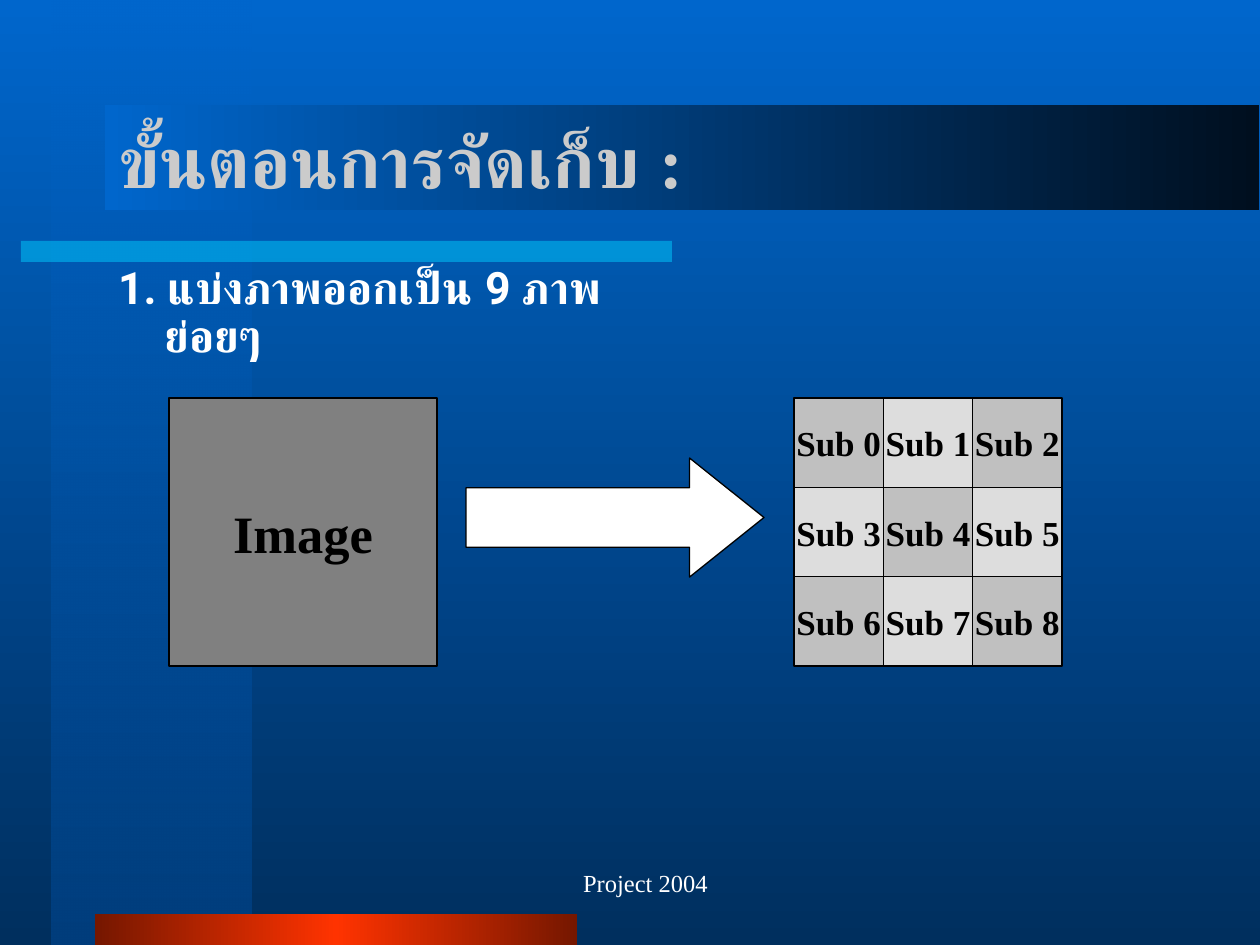
from lxml import etree
from pptx import Presentation
from pptx.dml.color import RGBColor
from pptx.enum.shapes import MSO_SHAPE
from pptx.enum.text import MSO_ANCHOR, MSO_AUTO_SIZE, PP_ALIGN
from pptx.oxml.ns import qn
from pptx.util import Pt

PX = 914400 / 126
RECT, ARROW = MSO_SHAPE.RECTANGLE, MSO_SHAPE.RIGHT_ARROW
TOP, MIDDLE = MSO_ANCHOR.TOP, MSO_ANCHOR.MIDDLE
LEFT, CENTER = PP_ALIGN.LEFT, PP_ALIGN.CENTER
SERIF, SANS = "Times New Roman", "Roboto"

BLACK = RGBColor(0x00, 0x00, 0x00)
WHITE = RGBColor(0xFF, 0xFF, 0xFF)
TITLE_GRAY = RGBColor(0xCB, 0xCB, 0xCB)
IMAGE_GRAY = RGBColor(0x80, 0x80, 0x80)
CELL_DARK = RGBColor(0xC0, 0xC0, 0xC0)
CELL_LIGHT = RGBColor(0xDD, 0xDD, 0xDD)
BLUE = RGBColor(0x00, 0x66, 0xCC)
MID_BLUE = RGBColor(0x00, 0x3E, 0x7D)
DEEP_BLUE = RGBColor(0x00, 0x2F, 0x5E)
NIGHT = RGBColor(0x00, 0x0F, 0x1F)
CYAN = RGBColor(0x00, 0xCC, 0xFF)
RED = RGBColor(0xFF, 0x33, 0x00)
DARK_RED = RGBColor(0x75, 0x17, 0x00)


def px(n):
    return round(n * PX)


def set_alpha(color, percent):
    etree.SubElement(color, qn("a:alpha")).set("val", str(percent * 1000))


def set_gradient(fill, owner, angle, stops):
    """Stops are (position, colour, opacity), all but the colour in percent."""
    fill.gradient()
    fill.gradient_angle = angle
    stop_list = next(owner.iter(qn("a:gsLst")))
    for old in list(stop_list):
        stop_list.remove(old)
    for position, rgb, opacity in stops:
        gs = etree.SubElement(stop_list, qn("a:gs"), pos=str(position * 1000))
        color = etree.SubElement(gs, qn("a:srgbClr"), val=str(rgb))
        if opacity < 100:
            set_alpha(color, opacity)


def add_shape(s, kind, box, color=None, outlined=False):
    sp = s.shapes.add_shape(kind, *map(px, box))
    sp.shadow.inherit = False
    if color is not None:
        sp.fill.solid()
        sp.fill.fore_color.rgb = color
    if outlined:
        sp.line.color.rgb = BLACK
        sp.line.width = Pt(0.75)
    else:
        sp.line.fill.background()
    return sp


def set_text(sp, text, size, color, font=SERIF, bold=True, align=CENTER,
             anchor=MIDDLE, margins=(13, 6, 13, 6), wrap=True):
    tf = sp.text_frame
    tf.word_wrap = wrap
    tf.auto_size = MSO_AUTO_SIZE.NONE
    tf.vertical_anchor = anchor
    tf.margin_left, tf.margin_top, tf.margin_right, tf.margin_bottom = map(px, margins)
    p = tf.paragraphs[0]
    p.text = text
    p.alignment = align
    p.font.name, p.font.size, p.font.bold = font, Pt(size), bold
    p.font.color.rgb = color
    return p


def add_backdrop(s):
    set_gradient(s.background.fill, s.element, 270,
                 [(0, BLUE, 100), (100, DEEP_BLUE, 100)])
    column = add_shape(s, RECT, (52, 0, 200, 945))
    set_gradient(column.fill, column.element, 270,
                 [(0, BLUE, 50), (100, MID_BLUE, 100)])
    rule = add_shape(s, RECT, (21, 241, 651, 21), CYAN)
    set_alpha(next(rule.element.spPr.iter(qn("a:srgbClr"))), 50)
    footer_bar = add_shape(s, RECT, (95, 914, 482, 31))
    set_gradient(footer_bar.fill, footer_bar.element, 180,
                 [(0, DARK_RED, 100), (50, RED, 100), (100, DARK_RED, 100)])
    title_band = add_shape(s, RECT, (105, 105, 1154, 105))
    set_gradient(title_band.fill, title_band.element, 180,
                 [(0, NIGHT, 100), (100, BLUE, 100)])


def add_title(s, box, text):
    title = s.shapes.title
    title.left, title.top, title.width, title.height = map(px, box)
    set_text(title, text, 41, TITLE_GRAY, align=LEFT)
    s.shapes._spTree.append(title.element)  # in front of the title band


def add_step(s, box, text):
    sp = s.shapes.add_textbox(*map(px, box))
    p = set_text(sp, text, 25.5, WHITE, font=SANS, align=LEFT, anchor=TOP)
    p.line_spacing = 0.9
    pPr = p._p.get_or_add_pPr()
    pPr.set("marL", str(px(47)))
    pPr.set("indent", str(-px(47)))


def add_sub_images(s, left, top, side, count=3):
    cell = side / count
    for i in range(count * count):
        row, col = divmod(i, count)
        sp = add_shape(s, RECT, (left + col * cell, top + row * cell, cell, cell),
                       CELL_LIGHT if i % 2 else CELL_DARK, outlined=True)
        set_text(sp, f"Sub {i}", 20, BLACK, margins=(0, 0, 0, 0), wrap=False)


def add_split_diagram(s, left, top, side):
    add_sub_images(s, left + 625, top, side)
    image = add_shape(s, RECT, (left, top, side, side), IMAGE_GRAY, outlined=True)
    set_text(image, "Image", 30, BLACK)
    arrow = add_shape(s, ARROW, (left + 297, top + 60, 298, 119), WHITE, outlined=True)
    arrow.adjustments[0] = 0.5
    arrow.adjustments[1] = 0.625


def add_footer(s, box, text):
    sp = s.shapes.add_textbox(*map(px, box))
    set_text(sp, text, 14, WHITE, bold=False, margins=(43, 6, 13, 6))


def main():
    prs = Presentation()
    prs.slide_width, prs.slide_height = px(1260), px(945)
    s = prs.slides.add_slide(prs.slide_layouts[5])
    add_backdrop(s)
    add_step(s, (105, 260, 585, 91), "1. แบ่งภาพออกเป็น 9 ภาพย่อยๆ")
    add_split_diagram(s, 169, 398, 268)
    add_title(s, (105, 81, 1165, 158), "ขั้นตอนการจัดเก็บ :")
    add_footer(s, (431, 851, 399, 63), "Project 2004")
    prs.save("out.pptx")


if __name__ == "__main__":
    main()
